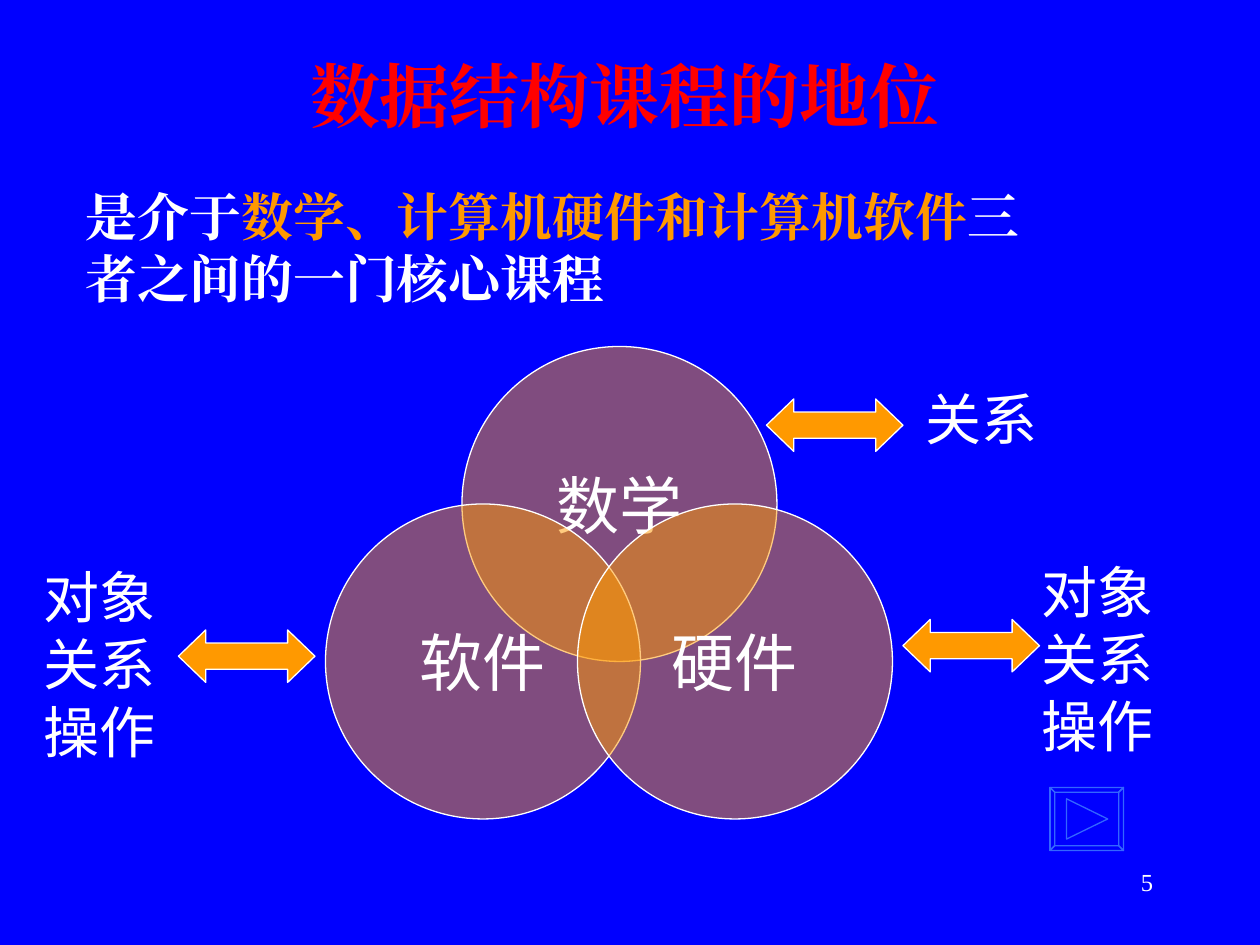
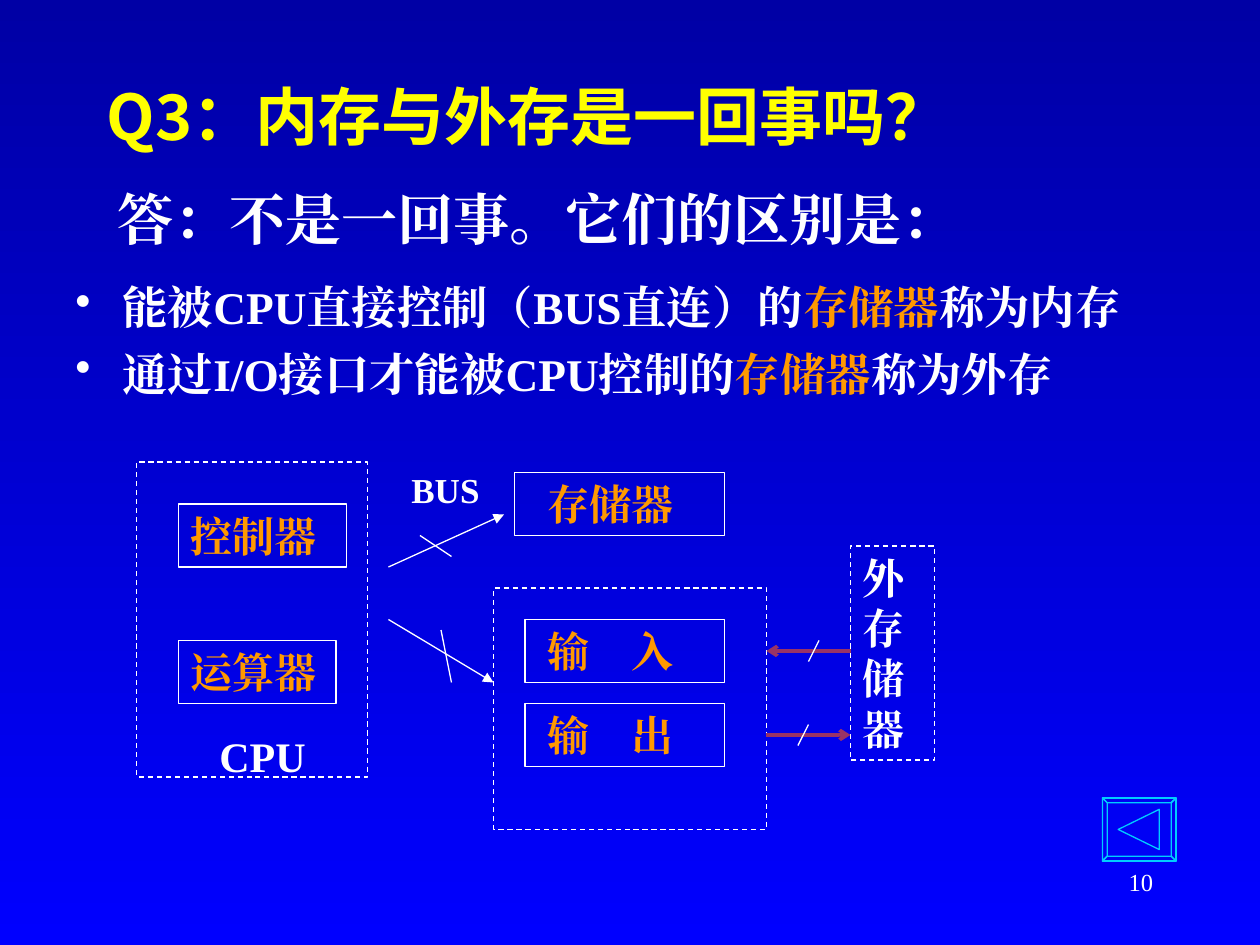
from dataclasses import dataclass
from lxml.etree import SubElement
from pptx import Presentation
from pptx.dml.color import RGBColor
from pptx.enum.dml import MSO_LINE
from pptx.enum.shapes import MSO_CONNECTOR, MSO_SHAPE
from pptx.enum.text import MSO_ANCHOR, PP_ALIGN
from pptx.oxml.ns import qn
from pptx.util import Pt


@dataclass(frozen=True)
class Theme:
    blue: str = "0000FF"
    navy: str = "0000A5"
    white: str = "FFFFFF"
    orange: str = "FF9900"
    red: str = "FF0000"
    yellow: str = "FFFF00"
    plum: str = "993366"
    next_button: str = "3366FF"
    back_button: str = "00CCFF"
    serif: str = "Times New Roman"
    sans: str = "Arial"
    narrow: str = "Arial Narrow"
    cjk: str = "Noto Sans CJK SC"
    title: float = 40
    question: float = 36
    circle: float = 36
    answer: float = 32
    aspect: float = 32
    lead: float = 29.6
    bullet: float = 25.9
    unit: float = 24
    bus: float = 20
    number: float = 14
    hairline: float = 0.75
    link: float = 2


T = Theme()

# Lengths are points; boxes are (left, top, width, height).
COURSE = {
    "title": "数据结构课程的地位",
    "lead": [("是介于", T.white), ("数学、计算机硬件和计算机软件", T.orange),
             ("三者之间的一门核心课程", T.white)],
    "circles": [("数学", 264, 198), ("软件", 186, 288), ("硬件", 330, 288)],
    "arrows": [(438, 228), (516, 354), (102, 360)],
    "aspects": [("对象", "关系", "操作"), [(588, 315), (18, 318)]],
    "math_aspect": "关系",
    "number": "5",
}
MEMORY = {
    "title": "Q3：内存与外存是一回事吗？",
    "answer": "答：不是一回事。它们的区别是：",
    "points": [
        [("能被CPU直接控制（BUS直连）的", T.white), ("存储器", T.orange), ("称为内存", T.white)],
        [("通过I/O接口才能被CPU控制的", T.white), ("存储器", T.orange), ("称为外存", T.white)],
    ],
    "groups": [(78, 264, 132, 180), (282, 336, 156, 138)],
    "units": [  # text, box, indent
        ("控制器", (102, 288, 96, 36), 0),
        ("运算器", (102, 366, 90, 36), 0),
        ("存储器", (294, 270, 120, 36), 12),
        ("输　入", (300, 354, 114, 36), 6),
        ("输　出", (300, 402, 114, 36), 6),
    ],
    "external": ("外存储器", (486, 312, 48, 122.4)),
    "cpu": ("CPU", (102, 414, 96, 36)),
    "bus": ("BUS", (228, 264, 60, 32)),
    "buses": [(222, 324, 288, 294), (222, 354, 282, 390)],
    "links": [(438, 420, 486, 420), (486, 372, 438, 372)],
    "slashes": [(240, 306, 258, 318), (252, 360, 258, 390),
                (468, 366, 462, 378), (462, 414, 456, 426)],
    "number": "10",
}
CIRCLE = 180
ARROW = (78, 30)
ASPECTS = (78.5, 122.4)
BUTTON = (42, 36)
BEVEL = 2.7


def rgb(code):
    return RGBColor.from_string(code)


def write(shape, lines, size, font=T.serif, color=T.white, bold=False,
          align=PP_ALIGN.LEFT, anchor=MSO_ANCHOR.TOP, wrap=True):
    """Fill a shape; each line is a string or a list of (text, colour) runs."""
    frame = shape.text_frame
    frame.word_wrap = wrap
    frame.vertical_anchor = anchor
    for i, line in enumerate(lines):
        paragraph = frame.add_paragraph() if i else frame.paragraphs[0]
        paragraph.alignment = align
        for text, run_color in ([(line, color)] if isinstance(line, str) else line):
            run = paragraph.add_run()
            run.text = text
            run.font.size = Pt(size)
            run.font.name = font
            run.font.bold = bold
            run.font.color.rgb = rgb(run_color)
            SubElement(run.font._element, qn("a:ea"), typeface=font)
    return frame


def add_text(slide, box, lines, size, **style):
    return write(slide.shapes.add_textbox(*map(Pt, box)), lines, size, **style)


def outline(shape, color=T.white, dashed=False):
    shape.shadow.inherit = False
    shape.line.color.rgb = rgb(color)
    shape.line.width = Pt(T.hairline)
    if dashed:
        shape.line.dash_style = MSO_LINE.DASH


def add_shape(slide, kind, box, fill=None, line=T.white, dashed=False):
    shape = slide.shapes.add_shape(kind, *map(Pt, box))
    if fill:
        shape.fill.solid()
        shape.fill.fore_color.rgb = rgb(fill)
    else:
        shape.fill.background()
    if line:
        outline(shape, line, dashed)
    else:
        shape.shadow.inherit = False
        shape.line.fill.background()
    return shape


def add_line(slide, ends, color=T.white, width=T.hairline, head=None):
    line = slide.shapes.add_connector(MSO_CONNECTOR.STRAIGHT, *map(Pt, ends))
    line.line.color.rgb = rgb(color)
    line.line.width = Pt(width)
    properties = line._element.spPr
    if head:
        SubElement(properties.find(qn("a:ln")), qn("a:tailEnd"), type=head)
    SubElement(properties, qn("a:effectLst"))


def add_button(slide, left, top, color, forward):
    """Bevelled navigation button with a triangle pointing forward or back."""
    width, height = BUTTON
    outer = [(0, 0), (width, 0), (width, height), (0, height)]
    inner = [(BEVEL, BEVEL), (width - BEVEL, BEVEL),
             (width - BEVEL, height - BEVEL), (BEVEL, height - BEVEL)]
    tip, base = (33, 9.5) if forward else (9, 32.5)
    outlines = [outer]
    for i in range(4):
        j = (i + 1) % 4
        outlines.append([outer[i], outer[j], inner[j], inner[i]])
    outlines.append([(base, 6.5), (tip, height / 2), (base, height - 6.5)])

    placed = [[(Pt(left + x), Pt(top + y)) for x, y in points] for points in outlines]
    builder = slide.shapes.build_freeform(*placed[0][0])
    for i, points in enumerate(placed):
        if i:
            builder.move_to(*points[0])
        builder.add_line_segments(points[1:], close=True)
    button = builder.convert_to_shape()
    button.fill.background()
    outline(button, color)


def add_slide(deck, number):
    slide = deck.slides.add_slide(deck.slide_layouts[6])
    add_text(slide, (516, 492, 150, 36), [number], T.number, align=PP_ALIGN.RIGHT)
    return slide


def add_bullets(frame):
    for i, paragraph in enumerate(frame.paragraphs):
        if i:
            paragraph.space_before = Pt(7)
        properties = paragraph._p.get_or_add_pPr()
        properties.set("marL", str(Pt(33)))
        properties.set("indent", str(Pt(-27)))
        color = SubElement(properties, qn("a:buClr"))
        SubElement(color, qn("a:srgbClr"), val=T.white)
        SubElement(properties, qn("a:buChar"), char="•")


def build_course(deck):
    slide = add_slide(deck, COURSE["number"])
    slide.background.fill.solid()
    slide.background.fill.fore_color.rgb = rgb(T.blue)
    add_text(slide, (120, 24, 474, 60), [COURSE["title"]], T.title, color=T.red,
             bold=True, align=PP_ALIGN.CENTER, anchor=MSO_ANCHOR.MIDDLE)
    add_text(slide, (42, 102, 564, 84), [COURSE["lead"]], T.lead, bold=True)
    add_button(slide, 600, 450, T.next_button, forward=True)
    add_text(slide, (522, 216, 84, 46), [COURSE["math_aspect"]], T.aspect, font=T.sans)

    aspects, places = COURSE["aspects"]
    for place in places:
        panel = add_shape(slide, MSO_SHAPE.RECTANGLE, place + ASPECTS, T.blue, line=None)
        write(panel, aspects, T.aspect, font=T.sans, wrap=False)
    for name, left, top in COURSE["circles"]:
        circle = add_shape(slide, MSO_SHAPE.OVAL, (left, top, CIRCLE, CIRCLE), T.orange)
        fill_color = circle._element.spPr.find(qn("a:solidFill"))[0]
        SubElement(fill_color, qn("a:alpha"), val="50000")
        write(circle, [name], T.circle, font=T.narrow, align=PP_ALIGN.CENTER,
              anchor=MSO_ANCHOR.MIDDLE, wrap=False)
    for place in COURSE["arrows"]:
        arrow = add_shape(slide, MSO_SHAPE.LEFT_RIGHT_ARROW, place + ARROW, T.orange)
        arrow.adjustments[1] = 0.52


def build_memory(deck):
    slide = add_slide(deck, MEMORY["number"])
    backdrop = slide.background.fill
    backdrop.gradient()
    backdrop.gradient_angle = 270
    for stop, color in zip(backdrop.gradient_stops, (T.navy, T.blue)):
        stop.color.rgb = rgb(color)
    add_text(slide, (54, 36, 510, 60), [MEMORY["title"]], T.question, font=T.cjk,
             color=T.yellow, bold=True, anchor=MSO_ANCHOR.MIDDLE)
    add_bullets(add_text(slide, (30, 156, 666, 90), MEMORY["points"], T.bullet, bold=True))
    add_text(slide, (60, 102, 540, 46), [MEMORY["answer"]], T.answer, bold=True)

    for box in MEMORY["groups"]:
        add_shape(slide, MSO_SHAPE.RECTANGLE, box, dashed=True)
    for name, box, indent in MEMORY["units"]:
        unit = add_shape(slide, MSO_SHAPE.RECTANGLE, box)
        frame = write(unit, [name], T.unit, color=T.orange, bold=True)
        frame.paragraphs[0]._p.get_or_add_pPr().set("marL", str(Pt(indent)))
    name, box = MEMORY["external"]
    external = add_shape(slide, MSO_SHAPE.RECTANGLE, box, dashed=True)
    write(external, [name], T.unit, bold=True)
    name, box = MEMORY["bus"]
    add_text(slide, box, [name], T.bus, bold=True)
    name, box = MEMORY["cpu"]
    add_text(slide, box, [name], T.unit, bold=True, align=PP_ALIGN.CENTER)

    for ends in MEMORY["buses"]:
        add_line(slide, ends, head="triangle")
    for ends in MEMORY["links"]:
        add_line(slide, ends, T.plum, T.link, head="arrow")
    for ends in MEMORY["slashes"]:
        add_line(slide, ends)
    add_button(slide, 630, 456, T.back_button, forward=False)


def main():
    deck = Presentation()
    deck.slide_width, deck.slide_height = Pt(720), Pt(540)
    build_course(deck)
    build_memory(deck)
    deck.save("out.pptx")


if __name__ == "__main__":
    main()
